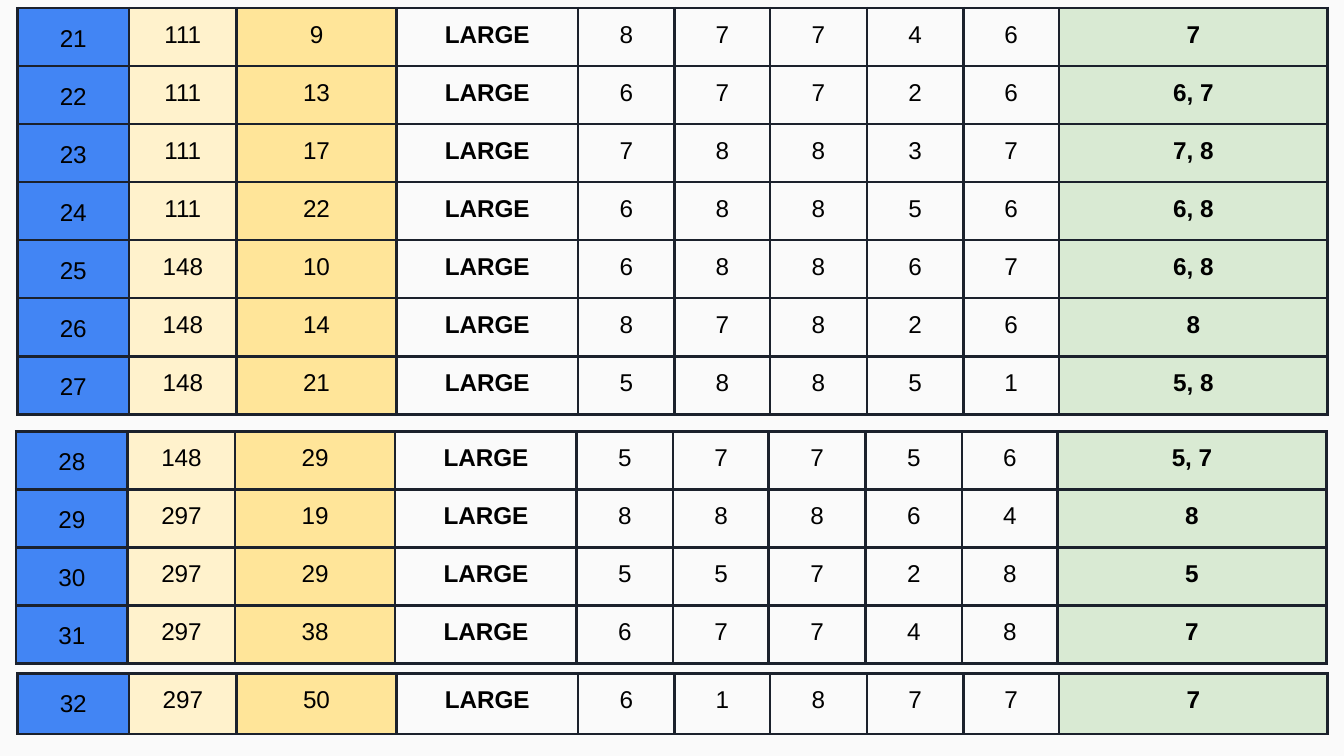
from lxml.etree import SubElement
from pptx import Presentation
from pptx.dml.color import RGBColor
from pptx.enum.text import PP_ALIGN
from pptx.oxml.ns import qn
from pptx.util import Inches, Pt

# Content: one list of rows per table; every row also has the size label
SIZE_LABEL = "LARGE"
TABLES = [
    {"left": 0.13, "top": 0.06, "row_height": 0.28, "rows": [
        (21, 111, 9, 8, 7, 7, 4, 6, "7"),
        (22, 111, 13, 6, 7, 7, 2, 6, "6, 7"),
        (23, 111, 17, 7, 8, 8, 3, 7, "7, 8"),
        (24, 111, 22, 6, 8, 8, 5, 6, "6, 8"),
        (25, 148, 10, 6, 8, 8, 6, 7, "6, 8"),
        (26, 148, 14, 8, 7, 8, 2, 6, "8"),
        (27, 148, 21, 5, 8, 8, 5, 1, "5, 8"),
    ]},
    {"left": 0.12, "top": 3.21, "row_height": 0.28, "rows": [
        (28, 148, 29, 5, 7, 7, 5, 6, "5, 7"),
        (29, 297, 19, 8, 8, 8, 6, 4, "8"),
        (30, 297, 29, 5, 5, 7, 2, 8, "5"),
        (31, 297, 38, 6, 7, 7, 4, 8, "7"),
    ]},
    {"left": 0.13, "top": 5.01, "row_height": 0.45, "rows": [
        (32, 297, 50, 6, 1, 8, 7, 7, "7"),
    ]},
]

# Slide and column format
SLIDE_WIDTH = Inches(10)
SLIDE_HEIGHT = SLIDE_WIDTH * 9 // 16
COLUMN_WIDTHS = [0.83, 0.8, 1.19, 1.35, 0.72, 0.71, 0.72, 0.72, 0.71, 2]
COLUMN_FILLS = {0: "4285F4", 1: "FFF2CC", 2: "FFE599", 9: "D9EAD3"}
NUMBER_COLUMN, SIZE_COLUMN, RESULT_COLUMN = 0, 3, 9
BACKGROUND, BORDER, TEXT = "FAFAFA", "1B212C", "000000"
MARGIN = Inches(0.1)


def color(value):
    return RGBColor.from_string(value)


def add_borders(cell, line_color, width):
    properties = cell._tc.get_or_add_tcPr()
    for side in ("lnL", "lnR", "lnT", "lnB"):
        line = SubElement(properties, qn(f"a:{side}"), w=str(Pt(width)))
        fill = SubElement(line, qn("a:solidFill"))
        SubElement(fill, qn("a:srgbClr"), val=line_color)


def write_cell(cell, text, bold=False, fill=None, line_spacing=None):
    cell.margin_left = cell.margin_right = MARGIN
    cell.margin_top = cell.margin_bottom = MARGIN
    add_borders(cell, BORDER, 1.5)
    if fill:
        cell.fill.solid()
        cell.fill.fore_color.rgb = color(fill)
    else:
        cell.fill.background()
    paragraph = cell.text_frame.paragraphs[0]
    paragraph.alignment = PP_ALIGN.CENTER
    paragraph.line_spacing = line_spacing
    run = paragraph.add_run()
    run.text = str(text)
    run.font.name = "Arial"
    run.font.size = Pt(13)
    run.font.bold = bold
    run.font.color.rgb = color(TEXT)


def add_result_table(slide, left, top, row_height, rows):
    table = slide.shapes.add_table(
        len(rows), len(COLUMN_WIDTHS), Inches(left), Inches(top),
        Inches(sum(COLUMN_WIDTHS)), Inches(row_height * len(rows))).table
    table.first_row = table.horz_banding = False
    for column, width in zip(table.columns, COLUMN_WIDTHS):
        column.width = Inches(width)
    for row_index, row in enumerate(rows):
        texts = [*row[:SIZE_COLUMN], SIZE_LABEL, *row[SIZE_COLUMN:]]
        for column_index, text in enumerate(texts):
            write_cell(
                table.cell(row_index, column_index), text,
                bold=column_index in (SIZE_COLUMN, RESULT_COLUMN),
                fill=COLUMN_FILLS.get(column_index),
                line_spacing=1.15 if column_index == NUMBER_COLUMN else None)


def main():
    presentation = Presentation()
    presentation.slide_width = SLIDE_WIDTH
    presentation.slide_height = SLIDE_HEIGHT
    slide = presentation.slides.add_slide(presentation.slide_layouts[6])
    slide.background.fill.solid()
    slide.background.fill.fore_color.rgb = color(BACKGROUND)
    for table in TABLES:
        add_result_table(slide, **table)
    presentation.save("out.pptx")


if __name__ == "__main__":
    main()
